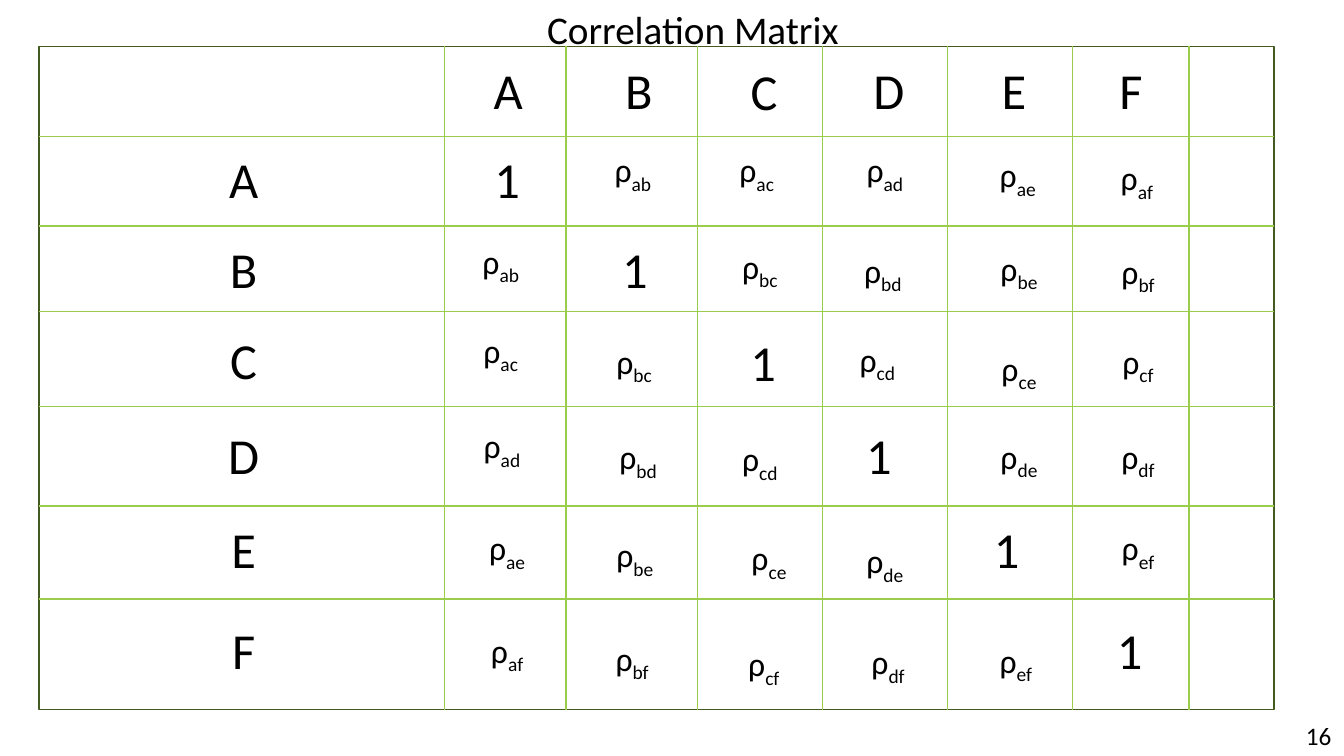
from lxml import etree
from pptx import Presentation
from pptx.dml.color import RGBColor
from pptx.enum.shapes import MSO_CONNECTOR, MSO_SHAPE
from pptx.enum.text import MSO_AUTO_SIZE, PP_ALIGN
from pptx.oxml.ns import qn
from pptx.util import Cm, Pt

STRAIGHT = MSO_CONNECTOR.STRAIGHT
RECTANGLE = MSO_SHAPE.RECTANGLE
GROW = MSO_AUTO_SIZE.SHAPE_TO_FIT_TEXT
CENTER = PP_ALIGN.CENTER

COLORS = {"text": "000000", "frame": "435A21", "grid": "9ACD4C"}
FONT = "Calibri"

prs = Presentation()
prs.slide_width, prs.slide_height = Cm(33.87), Cm(19.05)
s = prs.slides.add_slide(prs.slide_layouts[6])


def add_text(left, top, width, height, text, size, subscript=""):
    sp = s.shapes.add_textbox(Cm(left), Cm(top), Cm(width), Cm(height))
    tf = sp.text_frame
    tf.word_wrap = True
    tf.auto_size = GROW
    p = tf.paragraphs[0]
    p.alignment = CENTER
    p.font.name = FONT
    p.font.size = Pt(size)
    p.font.color.rgb = RGBColor.from_string(COLORS["text"])
    p.add_run().text = text
    if subscript:
        r = p.add_run()
        r.text = subscript
        r._r.get_or_add_rPr().set("baseline", "-25000")


def add_line(x1, y1, x2, y2):
    line = s.shapes.add_connector(STRAIGHT, Cm(x1), Cm(y1), Cm(x2), Cm(y2))
    line.line.color.rgb = RGBColor.from_string(COLORS["grid"])
    line.line.width = Pt(1.25)
    etree.SubElement(line._element.spPr, qn("a:effectLst"))


# Frame
LEFT, TOP, RIGHT, BOTTOM = 0.99, 1.17, 32.11, 17.88
frame = s.shapes.add_shape(RECTANGLE, Cm(LEFT), Cm(TOP),
                           Cm(RIGHT - LEFT), Cm(BOTTOM - TOP))
frame.shadow.inherit = False
frame.fill.background()
frame.line.color.rgb = RGBColor.from_string(COLORS["frame"])
frame.line.width = Pt(1.25)

# Grid lines
for y in (3.44, 5.69, 7.85, 10.24, 12.75, 15.09):
    add_line(LEFT, y, RIGHT, y)
for x in (11.2, 14.27, 17.58, 20.73, 23.88, 27.03, 29.97):
    add_line(x, TOP, x, BOTTOM)

# Column headings: left, top, width
ASSETS = "ABCDEF"
columns = [(11.61, 1.37, 2.39), (15.01, 1.37, 2.18), (18.06, 1.4, 2.39),
           (21.31, 1.37, 2.18), (24.56, 1.37, 1.98), (27.41, 1.37, 2.18)]
for asset, (left, top, width) in zip(ASSETS, columns):
    add_text(left, top, width, 1.8, asset, 36)

# Row headings
row_tops = [3.61, 5.87, 8.18, 10.57, 12.93, 15.47]
for asset, top in zip(ASSETS, row_tops):
    add_text(2.01, top, 8.26, 1.8, asset, 36)

# Left and top of each matrix entry, one row per asset
entries = [
    [(11.79, 3.61), (14.96, 3.63), (18.08, 3.63),
     (21.31, 3.63), (24.66, 3.76), (27.66, 3.84)],
    [(11.63, 5.94), (15.01, 5.87), (18.16, 6.07),
     (21.26, 6.17), (24.69, 6.12), (27.69, 6.2)],
    [(11.63, 8.18), (14.99, 8.46), (18.24, 8.23),
     (21.12, 8.41), (24.69, 8.64), (27.69, 8.46)],
    [(11.66, 10.59), (15.09, 10.87), (18.16, 10.92),
     (21.16, 10.57), (24.69, 10.85), (27.69, 10.85)],
    [(11.79, 13.16), (15.01, 13.34), (18.39, 13.41),
     (21.31, 13.49), (24.38, 12.93), (27.69, 13.16)],
    [(11.79, 15.75), (14.94, 15.95), (18.26, 16.08),
     (21.39, 16.03), (24.61, 16.0), (27.48, 15.47)],
]

# Ones on the diagonal, symmetric correlations elsewhere
for row_asset, row in zip(ASSETS, entries):
    for col_asset, (left, top) in zip(ASSETS, row):
        if row_asset == col_asset:
            add_text(left, top, 1.98, 1.8, "1", 36)
        else:
            pair = "".join(sorted(row_asset + col_asset)).lower()
            add_text(left, top, 1.98, 1.27, "ρ", 24, pair)

# Title and page number
add_text(10.26, 0, 14.4, 1.45, "Correlation Matrix", 28)
add_text(32.61, 18.03, 1.24, 1.02, "16", 18)

prs.save("out.pptx")
